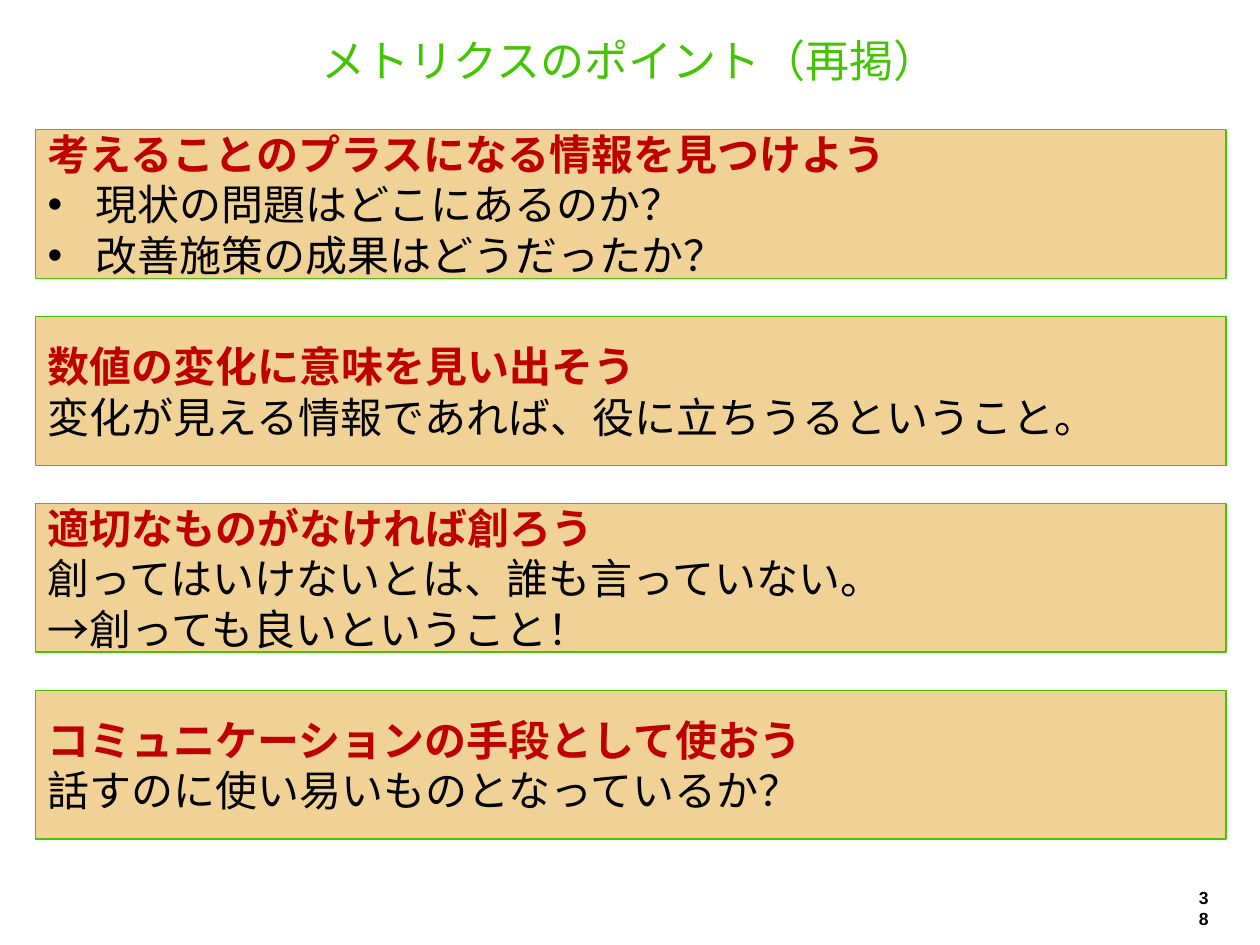
from pptx import Presentation
from pptx.dml.color import RGBColor
from pptx.enum.shapes import MSO_SHAPE
from pptx.enum.text import MSO_ANCHOR, PP_ALIGN
from pptx.oxml.ns import qn
from pptx.util import Inches, Pt
from lxml import etree

RECT = MSO_SHAPE.RECTANGLE
TOP, MID = MSO_ANCHOR.TOP, MSO_ANCHOR.MIDDLE
LEFT, MIDDLE, RIGHT = PP_ALIGN.LEFT, PP_ALIGN.CENTER, PP_ALIGN.RIGHT
CJK = "Noto Sans CJK JP"


def color(code):
    return RGBColor.from_string(code)


def write(para, text, size=24, font="Arial", tint="000000", bold=False,
          align=LEFT, pitch=None, bullet=False):
    para.alignment = align
    if pitch:
        para.line_spacing = Pt(pitch)
    run = para.add_run()
    run.text = text
    run.font.size = Pt(size)
    run.font.name = font
    run.font.bold = bold
    run.font.color.rgb = color(tint)
    etree.SubElement(run.font._element, qn("a:ea"), typeface=CJK)
    if bullet:
        props = para._p.get_or_add_pPr()
        props.set("marL", str(Inches(0.38)))
        props.set("indent", str(-Inches(0.38)))
        etree.SubElement(props, qn("a:buFont"), typeface="Arial")
        etree.SubElement(props, qn("a:buChar"), char="•")


deck = Presentation()
deck.slide_width, deck.slide_height = Inches(10), Inches(7.5)
slide = deck.slides.add_slide(deck.slide_layouts[6])
shapes = slide.shapes

number = shapes.add_textbox(Inches(9.41), Inches(6.99), Inches(0.28), Inches(0.27))
number.text_frame.word_wrap = True
number.text_frame.vertical_anchor = TOP
write(number.text_frame.paragraphs[0], "38", size=10, bold=True, align=RIGHT)

title = shapes.add_textbox(Inches(0.39), Inches(0.28), Inches(9.21), Inches(0.39))
title.fill.solid()
title.fill.fore_color.rgb = color("FFFFFF")
frame = title.text_frame
frame.word_wrap = True
frame.vertical_anchor = MID
frame.margin_top = frame.margin_bottom = 0
write(frame.paragraphs[0], "メトリクスのポイント（再掲）", size=25.2,
      font=CJK, tint="44C404", align=MIDDLE)

points = [
    ("考えることのプラスになる情報を見つけよう", True,
     ["現状の問題はどこにあるのか？", "改善施策の成果はどうだったか？"]),
    ("数値の変化に意味を見い出そう", False,
     ["変化が見える情報であれば、役に立ちうるということ。"]),
    ("適切なものがなければ創ろう", False,
     ["創ってはいけないとは、誰も言っていない。", "→創っても良いということ！"]),
    ("コミュニケーションの手段として使おう", False,
     ["話すのに使い易いものとなっているか？"]),
]

for row, (head, listed, lines) in enumerate(points):
    box = shapes.add_shape(RECT, Inches(0.28), Inches(1.03 + 1.483 * row),
                           Inches(9.45), Inches(1.18))
    box.shadow.inherit = False
    box.fill.solid()
    box.fill.fore_color.rgb = color("F0D296")
    box.line.color.rgb = color("44C404")
    box.line.width = Pt(0.75)
    frame = box.text_frame
    frame.word_wrap = True
    frame.vertical_anchor = MID
    frame.margin_top = frame.margin_bottom = 0
    write(frame.paragraphs[0], head, tint="BF0000", bold=True, pitch=28.8)
    for line in lines:
        write(frame.add_paragraph(), line, pitch=28.8, bullet=listed)

deck.save("out.pptx")
